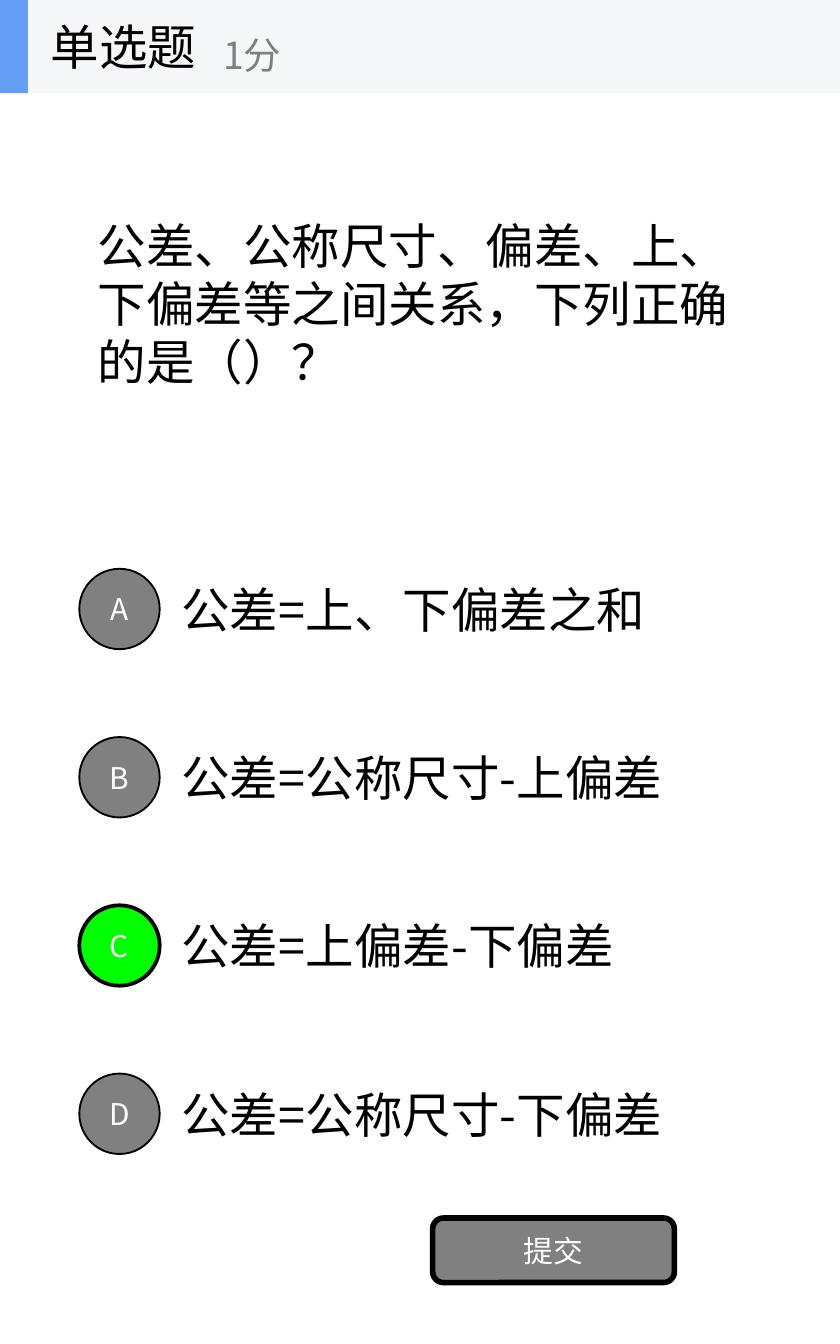
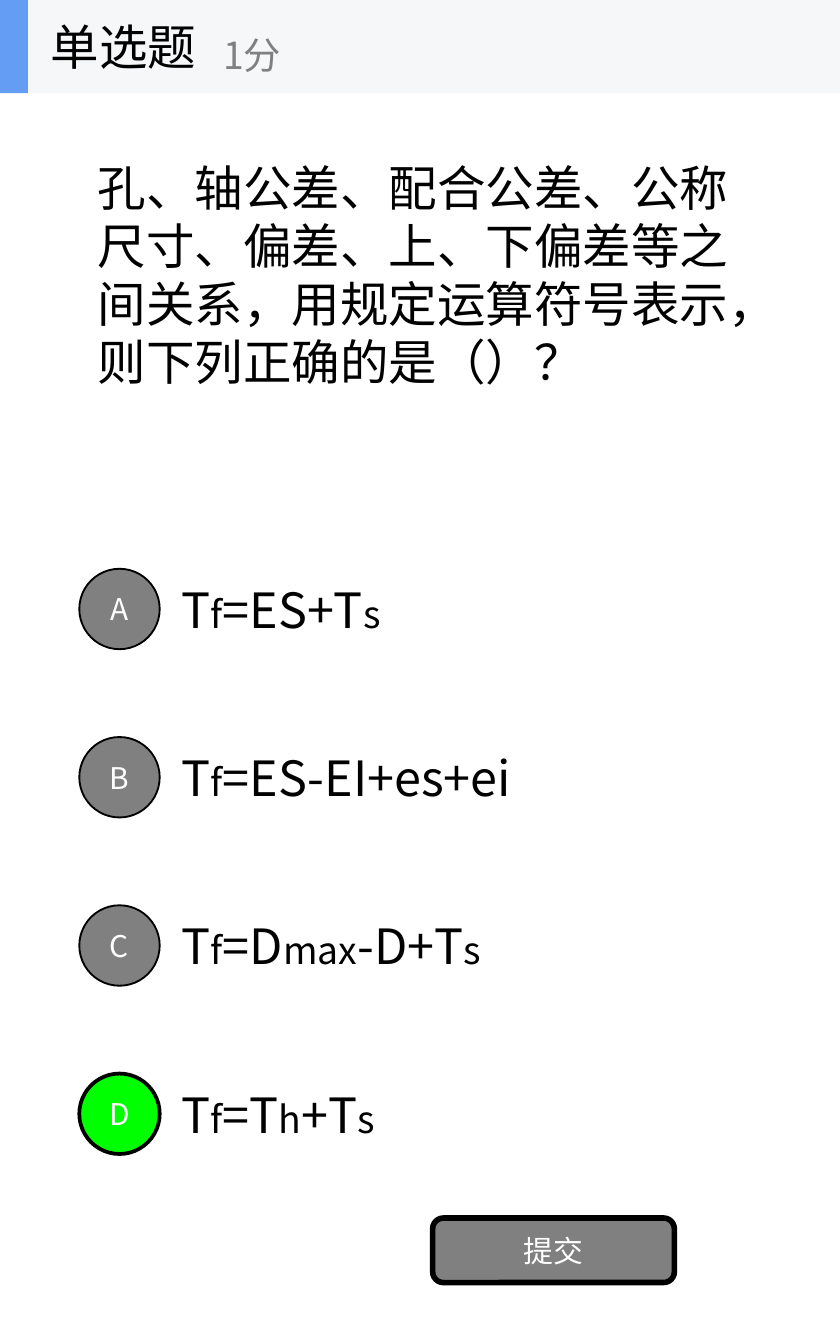
"""Build two single-choice quiz slides about tolerances."""
from lxml import etree
from pptx import Presentation
from pptx.dml.color import RGBColor
from pptx.enum.lang import MSO_LANGUAGE_ID
from pptx.enum.shapes import MSO_SHAPE
from pptx.enum.text import MSO_ANCHOR, MSO_AUTO_SIZE, PP_ALIGN
from pptx.oxml.ns import qn
from pptx.util import Cm, Pt

HEADING, POINTS, SUBMIT = "单选题", "1分", "提交"
# Option parts alternate between full-size text and small index text.
QUESTIONS = [
    {
        "question": "公差、公称尺寸、偏差、上、下偏差等之间关系，下列正确的是（）？",
        "options": [
            ("公差=上、下偏差之和",),
            ("公差=公称尺寸-上偏差",),
            ("公差=上偏差-下偏差",),
            ("公差=公称尺寸-下偏差",),
        ],
        "answer": "C",
        "bottom_inset": Cm(0.13),
    },
    {
        "question": "孔、轴公差、配合公差、公称尺寸、偏差、上、下偏差等之间关系，"
                    "用规定运算符号表示，则下列正确的是（）？",
        "options": [
            ("T", "f", "=ES+T", "s"),
            ("T", "f", "=ES-EI+es+ei"),
            ("T", "f", "=D", "max", "-D+T", "s"),
            ("T", "f", "=T", "h", "+T", "s"),
        ],
        "answer": "D",
        "bottom_inset": Cm(1.23),
    },
]

FONT = "Noto Sans CJK SC"
BLACK = RGBColor(0x00, 0x00, 0x00)
WHITE = RGBColor(0xFF, 0xFF, 0xFF)
GRAY = RGBColor(0x80, 0x80, 0x80)
GREEN = RGBColor(0x00, 0xFF, 0x00)
BAND = RGBColor(0xF6, 0xF7, 0xF8)
ACCENT = RGBColor(0x63, 0x9E, 0xF4)
LEFT, CENTER = PP_ALIGN.LEFT, PP_ALIGN.CENTER
MIDDLE, NO_FIT = MSO_ANCHOR.MIDDLE, MSO_AUTO_SIZE.NONE
OVAL, RECTANGLE = MSO_SHAPE.OVAL, MSO_SHAPE.RECTANGLE
ROUNDED = MSO_SHAPE.ROUNDED_RECTANGLE
CHINESE = MSO_LANGUAGE_ID.SIMPLIFIED_CHINESE

SLIDE_WIDTH, SLIDE_HEIGHT = Cm(15.88), Cm(25.4)
BAND_HEIGHT = Cm(1.76)
OPTION_LEFT, OPTION_TOP = Cm(3.18), Cm(10.32)
OPTION_WIDTH, OPTION_HEIGHT, OPTION_STEP = Cm(11.11), Cm(2.38), Cm(3.18)
MARKER_LEFT, MARKER_SIZE = Cm(1.5), Cm(1.52)


def write_text(shape, *parts, size=26, small=20, color=BLACK, align=LEFT):
    """Write parts as runs of one paragraph, every second one in the small size."""
    frame = shape.text_frame
    frame.word_wrap = True
    frame.auto_size = NO_FIT
    frame.vertical_anchor = MIDDLE
    paragraph = frame.paragraphs[0]
    paragraph.alignment = align
    for index, part in enumerate(parts):
        run = paragraph.add_run()
        run.text = part
        font = run.font
        font.size = Pt(small if index % 2 else size)
        font.name = FONT
        font.color.rgb = color
        font.language_id = CHINESE
        latin = run._r.rPr.find(qn("a:latin"))
        east_asian = etree.Element(qn("a:ea"), typeface=FONT)
        latin.addnext(east_asian)


def add_box(shapes, kind, box, fill, line_width=0):
    """Add a filled preset shape, with a black outline if it has a width."""
    shape = shapes.add_shape(kind, *box)
    shape.shadow.inherit = False
    shape.fill.solid()
    shape.fill.fore_color.rgb = fill
    if line_width:
        shape.line.color.rgb = BLACK
        shape.line.width = Pt(line_width)
    else:
        shape.line.fill.background()
    return shape


def add_question(slide, text, bottom_inset):
    """Place the question in the title placeholder."""
    title = slide.shapes.title
    title.left, title.top = Cm(1.59), BAND_HEIGHT
    title.width, title.height = Cm(12.7), Cm(7.94)
    write_text(title, text)
    title.text_frame.margin_bottom = bottom_inset


def add_options(slide, options, answer):
    """Stack the options with their lettered markers."""
    for row, (letter, parts) in enumerate(zip("ABCD", options)):
        top = OPTION_TOP + row * OPTION_STEP
        option = slide.shapes.add_textbox(OPTION_LEFT, top, OPTION_WIDTH, OPTION_HEIGHT)
        write_text(option, *parts)
        marker_top = top + (OPTION_HEIGHT - MARKER_SIZE) // 2
        fill, line_width = (GREEN, 2) if letter == answer else (GRAY, 1)
        marker = add_box(slide.shapes, OVAL,
                         (MARKER_LEFT, marker_top, MARKER_SIZE, MARKER_SIZE),
                         fill, line_width)
        write_text(marker, letter, size=16, color=WHITE, align=CENTER)


def add_submit_button(slide):
    """Add the submit button."""
    button = add_box(slide.shapes, ROUNDED,
                     (Cm(8.18), Cm(23.02), Cm(4.57), Cm(1.22)), GRAY, 3)
    write_text(button, SUBMIT, size=16, color=WHITE, align=CENTER)


def add_header(slide):
    """Add the grouped header band with question type and points."""
    shapes = slide.shapes.add_group_shape().shapes
    add_box(shapes, RECTANGLE, (0, 0, SLIDE_WIDTH, BAND_HEIGHT), BAND)
    add_box(shapes, RECTANGLE, (0, 0, Cm(0.53), BAND_HEIGHT), ACCENT)
    heading = shapes.add_textbox(Cm(0.71), 0, Cm(5.29), BAND_HEIGHT)
    write_text(heading, HEADING)
    points = shapes.add_textbox(Cm(3.97), Cm(0.32), Cm(6.35), Cm(1.43))
    write_text(points, POINTS, size=20, color=GRAY)


def main():
    """Build and save the presentation."""
    presentation = Presentation()
    presentation.slide_width, presentation.slide_height = SLIDE_WIDTH, SLIDE_HEIGHT
    title_only = presentation.slide_layouts[5]
    for item in QUESTIONS:
        slide = presentation.slides.add_slide(title_only)
        add_question(slide, item["question"], item["bottom_inset"])
        add_options(slide, item["options"], item["answer"])
        add_submit_button(slide)
        add_header(slide)
    presentation.save("out.pptx")


if __name__ == "__main__":
    main()
